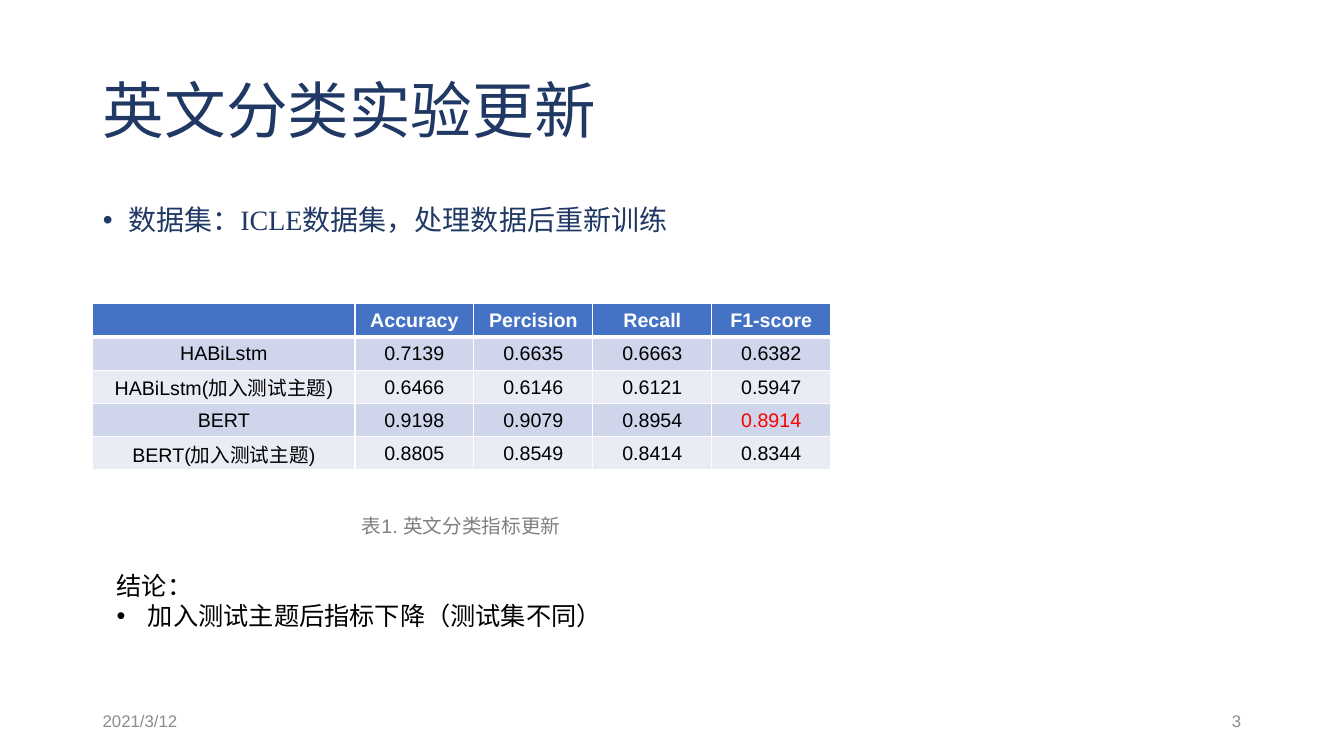
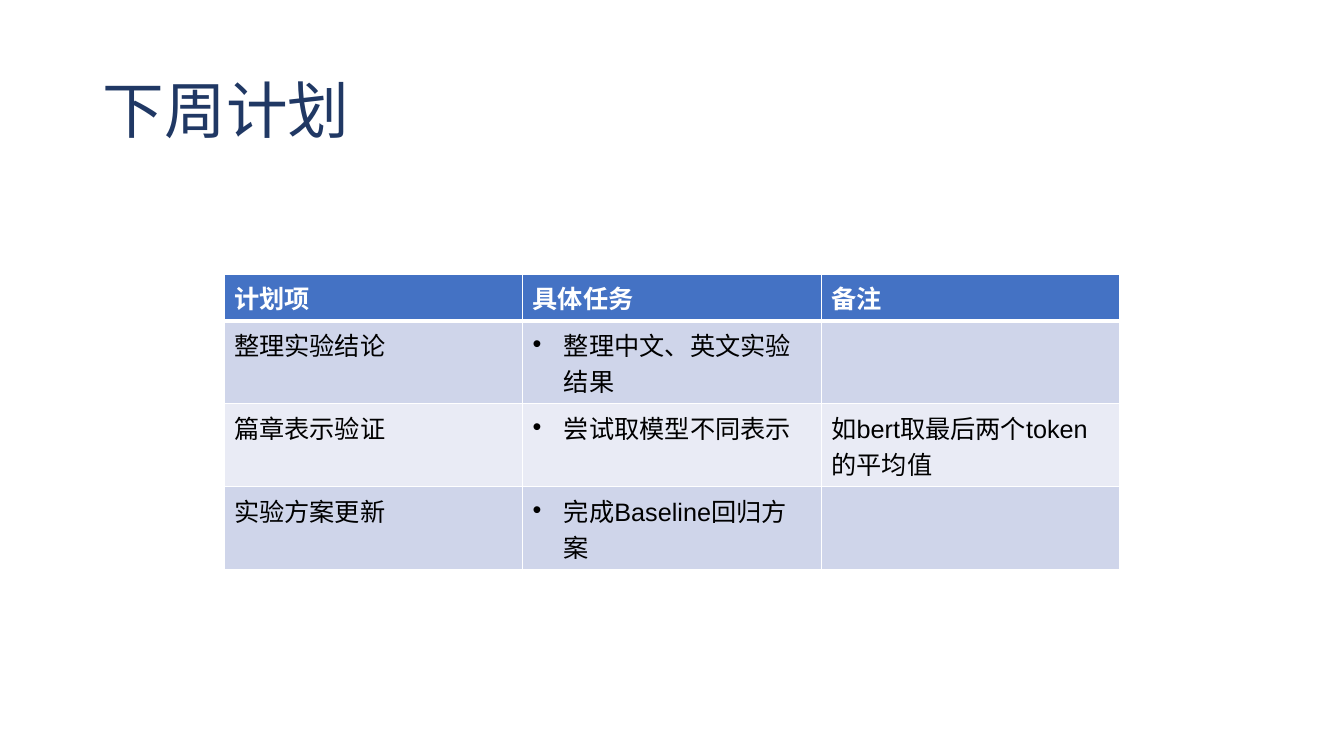
"""Build two slides: English classification results and next week's plan."""
from lxml.etree import SubElement
from pptx import Presentation
from pptx.dml.color import RGBColor
from pptx.enum.text import MSO_ANCHOR, PP_ALIGN
from pptx.oxml.ns import qn
from pptx.util import Inches, Pt

NAVY, BLUE, WHITE, BLACK = "203864", "4472C4", "FFFFFF", "000000"
GRAY, CAPTION_GRAY, RED = "8C8C8C", "808080", "FF0000"
BANDS = ["CFD5EA", "E9EBF5"]
SERIF, SANS = "Times New Roman", "Arial"
WIDTH, HEIGHT, MARGIN = 13.33, 7.5, 0.92
CONTENT_WIDTH = WIDTH - 2 * MARGIN
TITLE_AREA = (MARGIN, 0.4, CONTENT_WIDTH, 1.45)
BODY_AREA = (MARGIN, 2, CONTENT_WIDTH, 4.76)
FOOTER_TOP, FOOTER_WIDTH, FOOTER_HEIGHT = 6.95, 3, 0.4

RESULTS_TITLE = "英文分类实验更新"
DATASET = "数据集：ICLE数据集，处理数据后重新训练"
RESULTS = [
    ("", "Accuracy", "Percision", "Recall", "F1-score"),
    ("HABiLstm", "0.7139", "0.6635", "0.6663", "0.6382"),
    ("HABiLstm(加入测试主题)", "0.6466", "0.6146", "0.6121", "0.5947"),
    ("BERT", "0.9198", "0.9079", "0.8954", "0.8914"),
    ("BERT(加入测试主题)", "0.8805", "0.8549", "0.8414", "0.8344"),
]
RESULTS_CAPTION = "表1. 英文分类指标更新"
CONCLUSION = ["结论：", "加入测试主题后指标下降（测试集不同）"]
DATE, PAGE = "2021/3/12", "3"

PLAN_TITLE = "下周计划"
PLAN = [
    ("计划项", "具体任务", "备注"),
    ("整理实验结论", "整理中文、英文实验结果", ""),
    ("篇章表示验证", "尝试取模型不同表示", "如bert取最后两个token的平均值"),
    ("实验方案更新", "完成Baseline回归方案", ""),
]


def rgb(value):
    """Turn a hex string into a colour."""
    return RGBColor.from_string(value)


def box(*lengths):
    """Turn lengths in inches into slide units."""
    return [Inches(length) for length in lengths]


def write(frame, lines, size=18, color=BLACK, font=SANS, bold=False,
          align=PP_ALIGN.LEFT, spacing=None, bullets_from=None, indent=0.31):
    """Write lines into a text frame, with bullets from the given line on."""
    lines = [lines] if isinstance(lines, str) else lines
    for index, line in enumerate(lines):
        paragraph = frame.add_paragraph() if index else frame.paragraphs[0]
        if bullets_from is not None and index >= bullets_from:
            properties = paragraph._p.get_or_add_pPr()
            properties.set("marL", str(Inches(indent)))
            properties.set("indent", str(-Inches(indent)))
            SubElement(properties, qn("a:buFont"), typeface=SANS)
            SubElement(properties, qn("a:buChar"), char="•")
        paragraph.alignment = align
        paragraph.space_before = Pt(0)
        if spacing:
            paragraph.line_spacing = spacing
        run = paragraph.add_run()
        run.text = line
        run.font.size, run.font.name, run.font.bold = Pt(size), font, bold
        run.font.color.rgb = rgb(color)


def add_text(slide, area, lines, anchor=MSO_ANCHOR.TOP, **style):
    """Add a wrapping text box."""
    frame = slide.shapes.add_textbox(*box(*area)).text_frame
    frame.word_wrap = True
    frame.vertical_anchor = anchor
    write(frame, lines, **style)


def paint_cell(cell, row):
    """Give a cell white borders and its header or band fill."""
    widths = {"L": 1, "R": 1, "T": 3 if row == 1 else 1, "B": 1 if row else 3}
    properties = cell._tc.get_or_add_tcPr()
    for side, width in widths.items():
        line = SubElement(properties, qn(f"a:ln{side}"), w=str(Pt(width)))
        fill = SubElement(line, qn("a:solidFill"))
        SubElement(fill, qn("a:srgbClr"), val=WHITE)
    cell.fill.solid()
    cell.fill.fore_color.rgb = rgb(BANDS[(row - 1) % 2] if row else BLUE)


def add_grid(slide, left, top, widths, heights, rows, style_cell):
    """Add a banded table; style_cell adjusts a cell and returns its text style."""
    table = slide.shapes.add_table(
        len(rows), len(widths), *box(left, top, sum(widths), sum(heights))).table
    for column, width in zip(table.columns, widths):
        column.width = Inches(width)
    for row, (height, texts) in enumerate(zip(heights, rows)):
        table.rows[row].height = Inches(height)
        for column, content in enumerate(texts):
            cell = table.cell(row, column)
            paint_cell(cell, row)
            style = {"color": BLACK if row else WHITE, "bold": row == 0}
            style.update(style_cell(cell, row, column))
            if content:
                write(cell.text_frame, content, **style)


def style_result(cell, row, column):
    """Centre a result and mark the best F1-score."""
    cell.vertical_anchor = MSO_ANCHOR.MIDDLE
    if column == 0:
        cell.margin_top = cell.margin_bottom = 0
    elif row:
        cell.margin_left = cell.margin_right = cell.margin_top = Inches(0.01)
        cell.margin_bottom = 0
    style = {"size": 14, "align": PP_ALIGN.CENTER}
    best = max(scores[-1] for scores in RESULTS[1:])
    if row and column == len(RESULTS[0]) - 1 and RESULTS[row][column] == best:
        style["color"] = RED
    return style


def style_plan(cell, row, column):
    """Put bullets on the tasks."""
    return {"bullets_from": 0} if row and column == 1 else {}


def set_up_master(deck):
    """Place the title and body areas that all slides inherit."""
    deck.slide_width, deck.slide_height = box(WIDTH, HEIGHT)
    for holder, area in zip(deck.slide_master.placeholders, (TITLE_AREA, BODY_AREA)):
        holder.left, holder.top, holder.width, holder.height = box(*area)


def add_slide(deck, layout, title):
    """Add a slide with the shared title style."""
    slide = deck.slides.add_slide(deck.slide_layouts.get_by_name(layout))
    write(slide.shapes.title.text_frame, title, size=44, color=NAVY, font=SERIF, spacing=0.9)
    return slide


def build_results(deck):
    """Build the slide with the experiment results."""
    slide = add_slide(deck, "Title and Content", RESULTS_TITLE)
    write(slide.placeholders[1].text_frame, DATASET, size=20, color=NAVY, font=SERIF,
          spacing=0.9, bullets_from=0, indent=0.25)
    footers = [(MARGIN, DATE, PP_ALIGN.LEFT),
               (WIDTH - MARGIN - FOOTER_WIDTH, PAGE, PP_ALIGN.RIGHT)]
    for left, content, align in footers:
        add_text(slide, (left, FOOTER_TOP, FOOTER_WIDTH, FOOTER_HEIGHT), content,
                 anchor=MSO_ANCHOR.MIDDLE, size=12, color=GRAY, align=align)
    add_text(slide, (3.49, 5.05, 2.19, 0.34), RESULTS_CAPTION, size=14, color=CAPTION_GRAY)
    add_grid(slide, MARGIN, 3.01, [2.6] + [1.18] * 4, [0.33] * len(RESULTS),
             RESULTS, style_result)
    add_text(slide, (1.06, 5.61, 5.06, 0.71), CONCLUSION, bullets_from=1)


def build_plan(deck):
    """Build the slide with next week's plan."""
    slide = add_slide(deck, "Title Only", PLAN_TITLE)
    add_grid(slide, WIDTH / 6, 2.72, [WIDTH * 2 / 9] * 3,
             [0.46] + [0.82] * (len(PLAN) - 1), PLAN, style_plan)


def main():
    """Build and save the deck."""
    deck = Presentation()
    set_up_master(deck)
    build_results(deck)
    build_plan(deck)
    deck.save("out.pptx")


if __name__ == "__main__":
    main()
